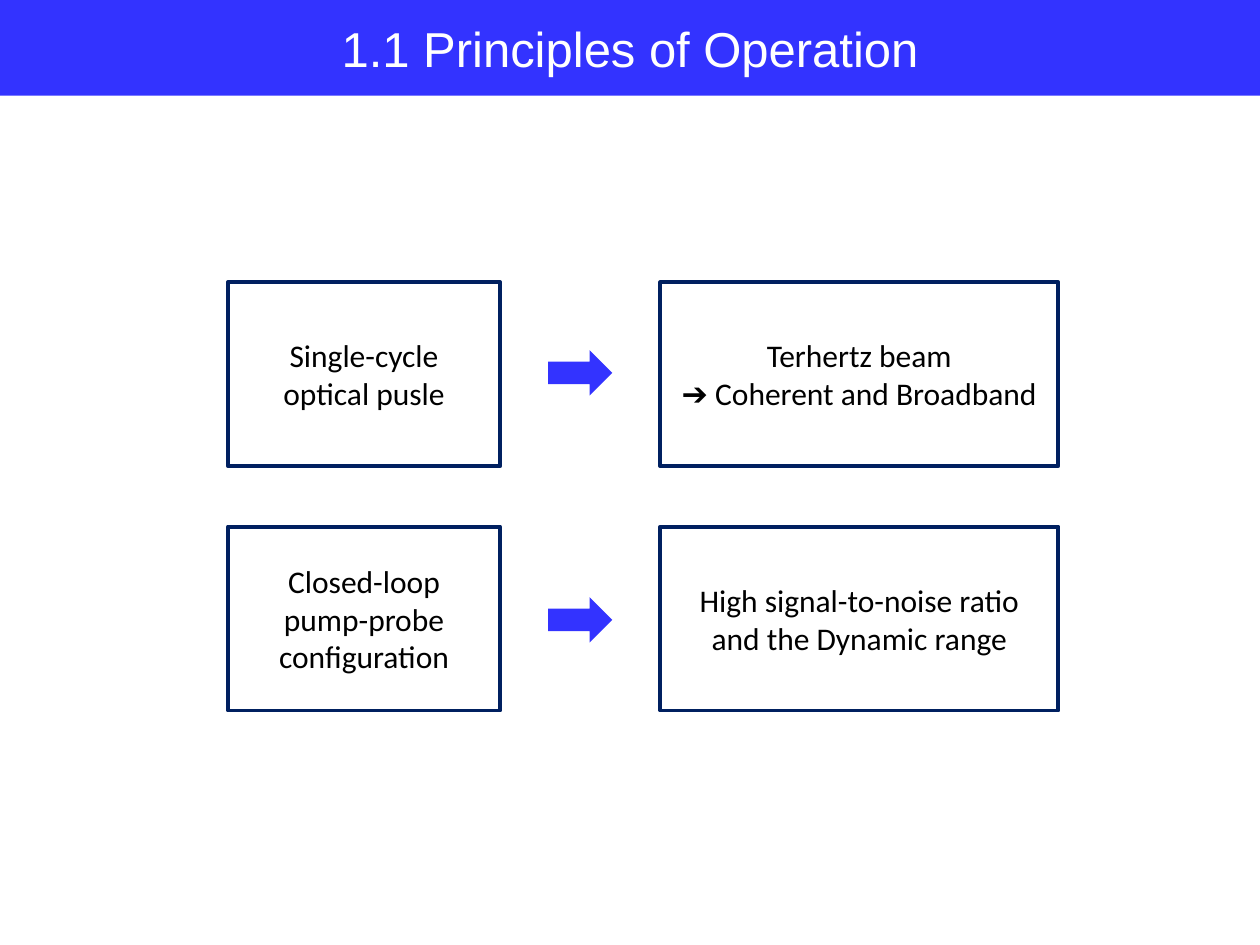
from pptx import Presentation
from pptx.dml.color import RGBColor
from pptx.enum.shapes import MSO_SHAPE as Shape
from pptx.enum.text import MSO_ANCHOR as Anchor, PP_ALIGN as Align
from pptx.util import Inches, Pt

BLUE = RGBColor(0x33, 0x33, 0xFF)
NAVY = RGBColor(0x00, 0x20, 0x60)
BLACK = RGBColor(0x00, 0x00, 0x00)
WHITE = RGBColor(0xFF, 0xFF, 0xFF)

TITLE_FORMAT = {"name": "Arial", "size": Pt(28)}
BOX_FORMAT = {"name": "Calibri", "size": Pt(18)}

# Layout in inches
CAUSE_LEFT, CAUSE_WIDTH = 1.81, 2.16
EFFECT_LEFT, EFFECT_WIDTH = 5.24, 3.16
BOX_HEIGHT = 1.46
ARROW_LEFT, ARROW_WIDTH, ARROW_HEIGHT = 4.35, 0.51, 0.36

# Box top, arrow top, cause lines, effect lines
ROWS = [
    (2.24, 2.78, ["Single-cycle", "optical pusle"],
     ["Terhertz beam", "➔ Coherent and Broadband"]),
    (4.18, 4.74, ["Closed-loop", "pump-probe", "configuration"],
     ["High signal-to-noise ratio", "and the Dynamic range"]),
]


class SlideBuilder:
    def __init__(self, slide):
        self.slide = slide

    def shape(self, kind, left, top, width, height, fill=None, line=None):
        shape = self.slide.shapes.add_shape(
            kind, Inches(left), Inches(top), Inches(width), Inches(height))
        shape.shadow.inherit = False
        if fill is None:
            shape.fill.background()
        else:
            shape.fill.solid()
            shape.fill.fore_color.rgb = fill
        if line is None:
            shape.line.fill.background()
        else:
            shape.line.color.rgb = line
            shape.line.width = Pt(2.25)
        return shape

    def add_text(self, shape, lines, text_format, color, wrap=True):
        frame = shape.text_frame
        frame.word_wrap = wrap
        frame.vertical_anchor = Anchor.MIDDLE
        for index, text in enumerate(lines):
            paragraph = frame.add_paragraph() if index else frame.paragraphs[0]
            paragraph.alignment = Align.CENTER
            run = paragraph.add_run()
            run.text = text
            run.font.color.rgb = color
            for name, value in text_format.items():
                setattr(run.font, name, value)

    def title(self, text):
        bar = self.shape(Shape.RECTANGLE, 0, 0, 10, 0.76, fill=BLUE)
        self.add_text(bar, [text], TITLE_FORMAT, WHITE, wrap=False)

    def box(self, left, top, width, lines):
        box = self.shape(Shape.RECTANGLE, left, top, width, BOX_HEIGHT, line=NAVY)
        self.add_text(box, lines, BOX_FORMAT, BLACK)

    def arrow(self, top):
        self.shape(Shape.RIGHT_ARROW, ARROW_LEFT, top,
                   ARROW_WIDTH, ARROW_HEIGHT, fill=BLUE)


def main():
    presentation = Presentation()
    presentation.slide_width = Inches(10)
    presentation.slide_height = Inches(7.5)
    builder = SlideBuilder(presentation.slides.add_slide(presentation.slide_layouts[6]))

    # Title bar
    builder.title("1.1 Principles of Operation")

    # Cause and effect boxes
    for box_top, _, cause, effect in ROWS:
        builder.box(CAUSE_LEFT, box_top, CAUSE_WIDTH, cause)
        builder.box(EFFECT_LEFT, box_top, EFFECT_WIDTH, effect)

    # Arrows between the boxes
    for _, arrow_top, _, _ in ROWS:
        builder.arrow(arrow_top)

    presentation.save("out.pptx")


if __name__ == "__main__":
    main()
